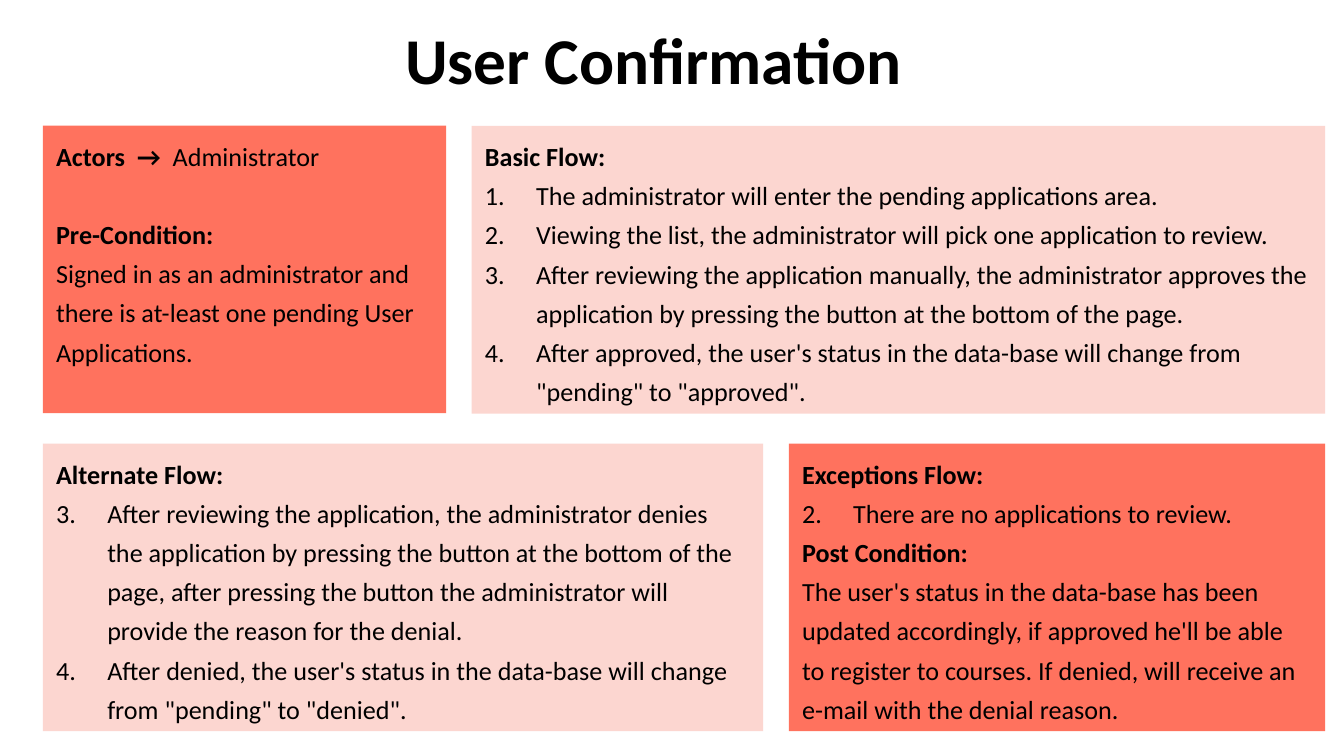
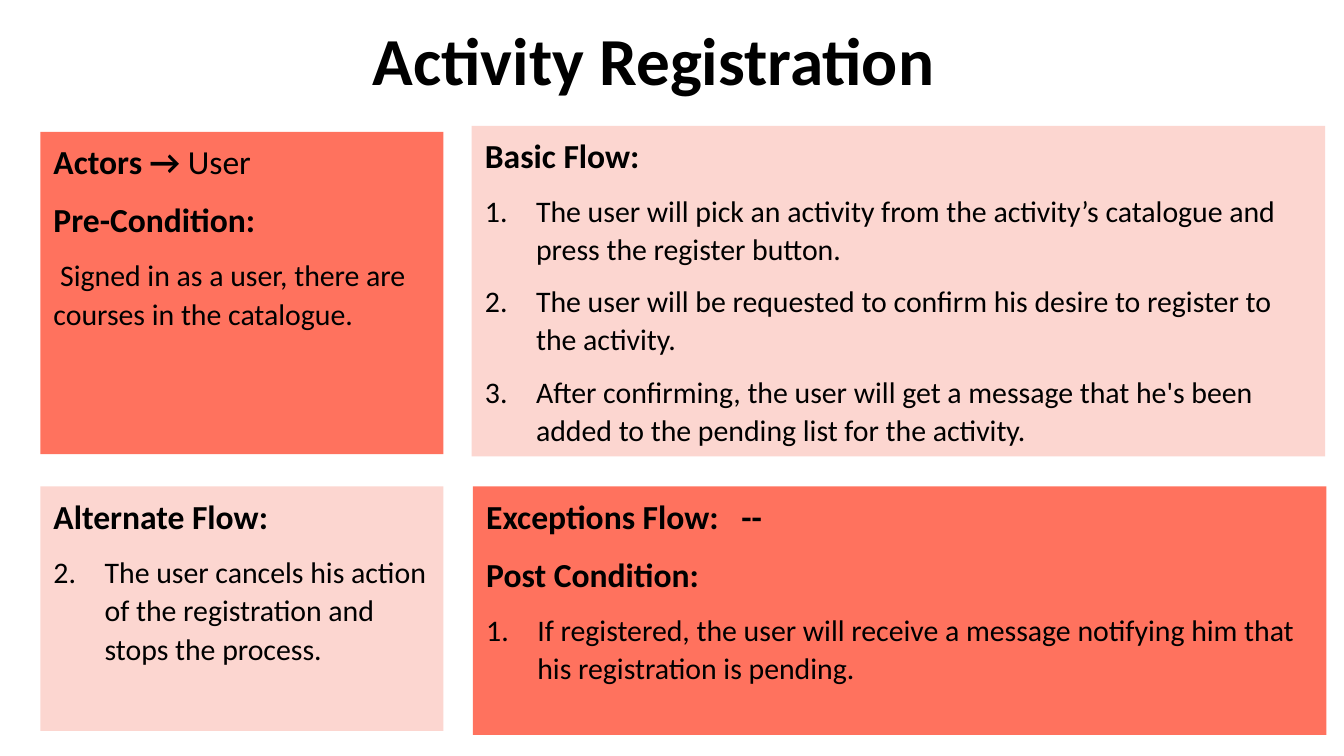
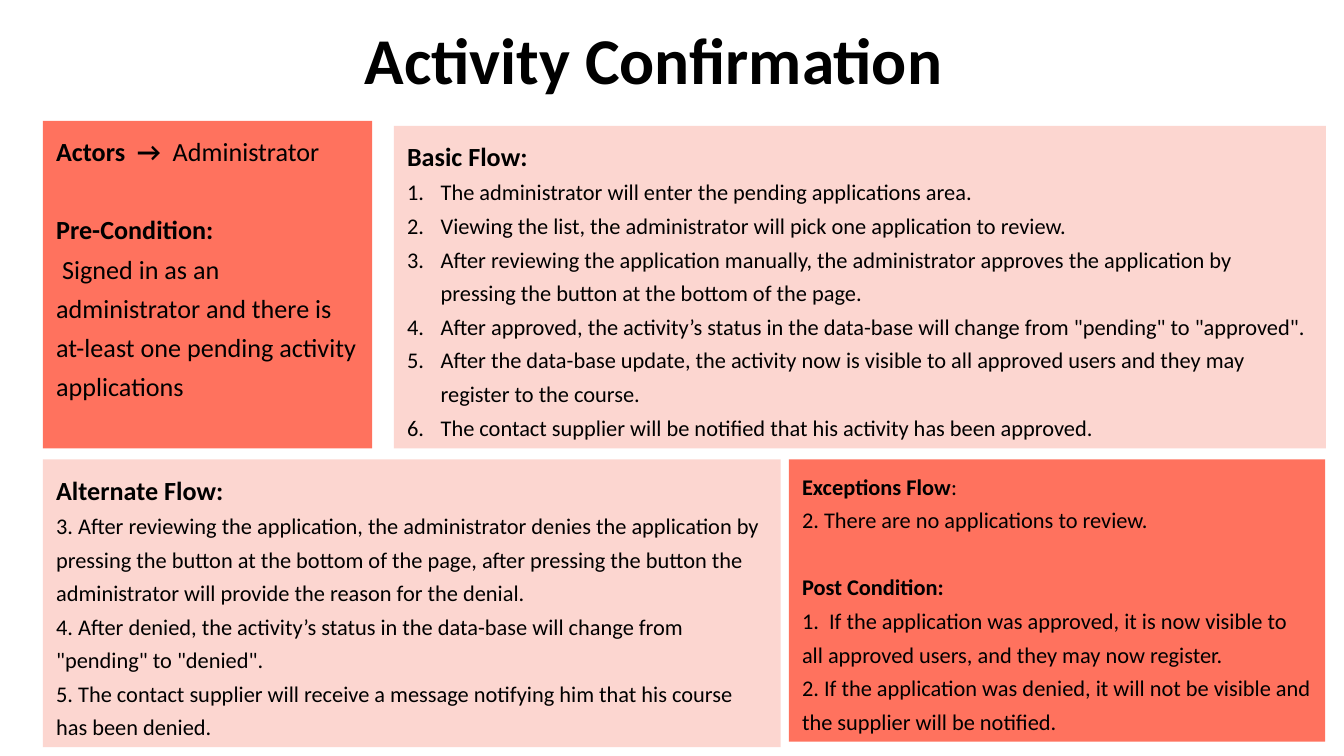
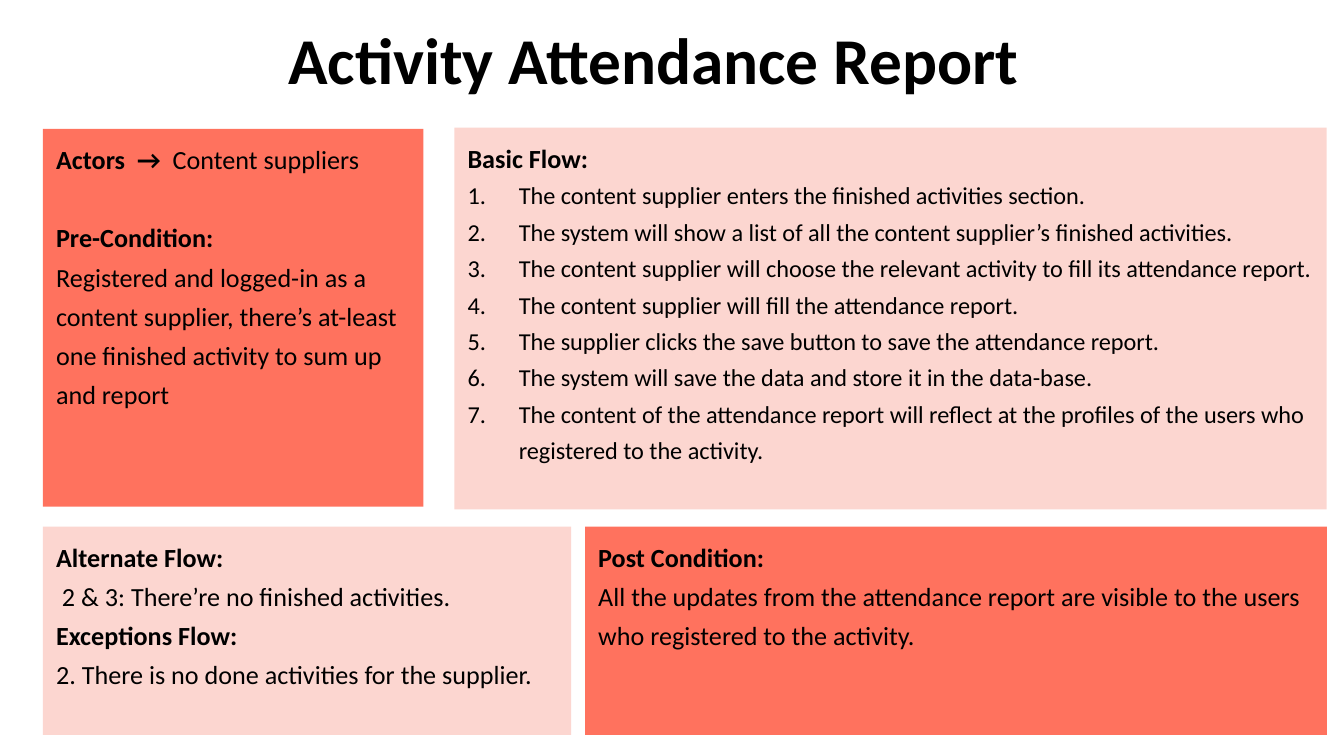
from dataclasses import dataclass

from lxml import etree
from pptx import Presentation
from pptx import util as u
from pptx.dml.color import RGBColor
from pptx.enum import shapes, text
from pptx.oxml import ns

COLORS = {"ink": "000000", "coral": "FF725E", "blush": "FCD6D0", "paper": "FFFFFF"}
FONT = "Calibri"


@dataclass
class Para:
    runs: list            # (text, bold, italic)
    heading: bool = False
    start: int = 0        # first number of the list, 0 for plain text
    gap: bool = False     # leave one line free above


@dataclass
class Style:
    head: float = 14
    body: float = 14
    line: float = 1.25
    after: float = 0
    indent: float = 27.4


# Kinds of paragraph
def head(label, plain="", gap=False):
    runs = [(label, True, False)]
    if plain:
        runs.append((plain, False, False))
    return Para(runs, heading=True, gap=gap)


def body(words):
    return Para([(words, False, False)])


def numbered(*items, start=1):
    return [Para([(item, False, False)], start=start) for item in items]


# Drawing helpers
def rgb(name):
    return RGBColor.from_string(COLORS[name])


def add_run(p, words, size, bold=False, italic=False):
    r = p.add_run()
    r.text = words
    r.font.name, r.font.size = FONT, u.Pt(size)
    r.font.bold, r.font.italic = bold, italic
    r.font.color.rgb = rgb("ink")


def add_number(p, start, indent):
    pPr = p._p.get_or_add_pPr()
    pPr.set("marL", str(u.Pt(indent)))
    pPr.set("indent", str(-u.Pt(indent)))
    color = etree.SubElement(pPr, ns.qn("a:buClr"))
    etree.SubElement(color, ns.qn("a:srgbClr"), val=COLORS["ink"])
    number = etree.SubElement(pPr, ns.qn("a:buAutoNum"), type="arabicPeriod")
    if start > 1:
        number.set("startAt", str(start))


def add_title(s, words, size):
    sp = s.shapes.add_textbox(u.Pt(37.4), u.Pt(13.7), u.Pt(625.7), u.Pt(35.3))
    tf = sp.text_frame
    tf.word_wrap = True
    tf.vertical_anchor = text.MSO_ANCHOR.MIDDLE
    tf.margin_left = tf.margin_right = tf.margin_top = tf.margin_bottom = u.Pt(7.2)
    p = tf.paragraphs[0]
    p.alignment = text.PP_ALIGN.CENTER
    add_run(p, words, size, bold=True)


def add_panel(s, fill, box, paras, style):
    sp = s.shapes.add_shape(shapes.MSO_SHAPE.RECTANGLE, *map(u.Pt, box))
    sp.shadow.inherit = False
    sp.fill.solid()
    sp.fill.fore_color.rgb = rgb(fill)
    sp.line.fill.background()
    tf = sp.text_frame
    tf.word_wrap = True
    tf.auto_size = text.MSO_AUTO_SIZE.SHAPE_TO_FIT_TEXT
    tf.vertical_anchor = text.MSO_ANCHOR.TOP
    for i, para in enumerate(paras):
        p = tf.paragraphs[0] if i == 0 else tf.add_paragraph()
        if para.start:
            add_number(p, para.start, style.indent)
        p.alignment = text.PP_ALIGN.LEFT
        p.line_spacing = style.line
        p.space_after = u.Pt(style.after)
        p.space_before = u.Pt(1.5 * style.head if para.gap else 0)
        for words, bold, italic in para.runs:
            add_run(p, words, style.head if para.heading else style.body, bold, italic)


def add_use_case(prs, title, panels, title_size=35):
    s = prs.slides.add_slide(prs.slide_layouts[6])
    s.background.fill.solid()
    s.background.fill.fore_color.rgb = rgb("paper")
    add_title(s, title, title_size)
    for panel in panels:
        add_panel(s, *panel)


# Slides
def user_confirmation(prs):
    style = Style()
    alternate = numbered(
        "After reviewing the application, the administrator denies the application by "
        "pressing the button at the bottom of the page, after pressing the button the "
        "administrator will provide the reason for the denial.",
        "After denied, the user's status in the data-base will change from "
        "\"pending\" to \"denied\"", start=3)
    alternate[-1].runs.append((".", False, True))
    add_use_case(prs, "User Confirmation", [
        ("blush", (252.7, 67.5, 457.2, 154.1), [head("Basic Flow:"), *numbered(
            "The administrator will enter the pending applications area.",
            "Viewing the list, the administrator will pick one application to review.",
            "After reviewing the application manually, the administrator approves the "
            "application by pressing the button at the bottom of the page.",
            "After approved, the user's status in the data-base will change from "
            "\"pending\" to \"approved\".")], style),
        ("coral", (23, 67.3, 216, 154.1), [
            head("Actors  → ", " Administrator"),
            head("Pre-Condition:", gap=True),
            body("Signed in as an administrator and there is at-least one pending User "
                 "Applications.")], style),
        ("coral", (422.6, 237.6, 287.3, 154.1), [
            head("Exceptions Flow:"),
            *numbered("There are no applications to review.", start=2),
            head("Post Condition:"),
            body("The user's status in the data-base has been updated accordingly, if "
                 "approved he'll be able to register to courses. If denied, will receive "
                 "an e-mail with the denial reason.")], style),
        ("blush", (23, 237.6, 385.9, 154.1), [head("Alternate Flow:"), *alternate], style),
    ])


def activity_registration(prs):
    style = Style(head=18, body=16, line=1.07, after=8)
    tight = Style(head=18, body=16, line=1.06, after=8)
    add_use_case(prs, "Activity Registration", [
        ("blush", (252.7, 67.5, 457.2, 177.1), [head("Basic Flow:"), *numbered(
            "The user will pick an activity from the activity’s catalogue and press the "
            "register button.",
            "The user will be requested to confirm his desire to register to the activity.",
            "After confirming, the user will get a message that he's been added to the "
            "pending list for the activity.")], tight),
        ("coral", (21.6, 70.6, 216, 172.8), [
            head("Actors → ", "User"),
            head("Pre-Condition:"),
            body(" Signed in as a user, there are courses in the catalogue.")], style),
        ("coral", (253.4, 260.6, 457.2, 133.2), [
            head("Exceptions Flow:   --"),
            head("Post Condition:"),
            *numbered("If registered, the user will receive a message notifying him that "
                      "his registration is pending.")], style),
        ("blush", (21.6, 260.6, 216, 131), [
            head("Alternate Flow:"),
            *numbered("The user cancels his action of the registration and stops the "
                      "process.", start=2)], style),
    ], title_size=36)


def activity_confirmation(prs):
    style = Style(body=12, indent=18)
    add_use_case(prs, "Activity Confirmation", [
        ("blush", (211, 67.5, 499.3, 172.8), [head("Basic Flow:"), *numbered(
            "The administrator will enter the pending applications area.",
            "Viewing the list, the administrator will pick one application to review.",
            "After reviewing the application manually, the administrator approves the "
            "application by pressing the button at the bottom of the page.",
            "After approved, the activity’s status in the data-base will change from "
            "\"pending\" to \"approved\".",
            "After the data-base update, the activity now is visible to all approved users "
            "and they may register to the course.",
            "The contact supplier will be notified that his activity has been approved.")],
         style),
        ("coral", (23, 64.8, 176.4, 175.4), [
            head("Actors  → ", " Administrator"),
            head("Pre-Condition:", gap=True),
            body(" Signed in as an administrator and there is at-least one pending "
                 "activity applications")], Style()),
        ("coral", (422.6, 246.2, 287.3, 151.2), [
            head("Exceptions Flow", ":"),
            body("2. There are no applications to review."),
            head("Post Condition:", gap=True),
            body("1.  If the application was approved, it is now visible to all approved "
                 "users, and they may now register."),
            body("2. If the application was denied, it will not be visible and the "
                 "supplier will be notified.")], Style(head=12, body=12)),
        ("blush", (23, 246.2, 395.3, 154.1), [
            head("Alternate Flow:"),
            body("3. After reviewing the application, the administrator denies the "
                 "application by pressing the button at the bottom of the page, after "
                 "pressing the button the administrator will provide the reason for the "
                 "denial."),
            body("4. After denied, the activity’s status in the data-base will change from "
                 "\"pending\" to \"denied\"."),
            body("5. The contact supplier will receive a message notifying him that his "
                 "course has been denied.")], style),
    ])


def attendance_report(prs):
    style = Style()
    add_use_case(prs, "Activity Attendance Report", [
        ("blush", (243.4, 68.4, 467.3, 204.5), [head("Basic Flow:"), *numbered(
            "The content supplier enters the finished activities section.",
            "The system will show a list of all the content supplier’s finished activities.",
            "The content supplier will choose the relevant activity to fill its attendance "
            "report.",
            "The content supplier will fill the attendance report.",
            "The supplier clicks the save button to save the attendance report.",
            "The system will save the data and store it in the data-base.",
            "The content of the attendance report will reflect at the profiles of the users "
            "who registered to the activity.")], Style(body=13)),
        ("coral", (23, 69.1, 203.8, 202.3), [
            head("Actors  → ", " Content suppliers"),
            head("Pre-Condition:", gap=True),
            body("Registered and logged-in as a content supplier, there’s at-least one "
                 "finished activity to sum up and report")], style),
        ("coral", (313.4, 282.2, 397.4, 111.6), [
            head("Post Condition:"),
            body("All the updates from the attendance report are visible to the users who "
                 "registered to the activity.")], style),
        ("blush", (23, 282.2, 283, 111.6), [
            head("Alternate Flow:"),
            body(" 2 & 3: There’re no finished activities."),
            head("Exceptions Flow:"),
            body("2. There is no done activities for the supplier.")], style),
    ])


def main():
    prs = Presentation()
    prs.slide_width, prs.slide_height = u.Pt(720), u.Pt(405)
    user_confirmation(prs)
    activity_registration(prs)
    activity_confirmation(prs)
    attendance_report(prs)
    prs.save("out.pptx")


if __name__ == "__main__":
    main()
